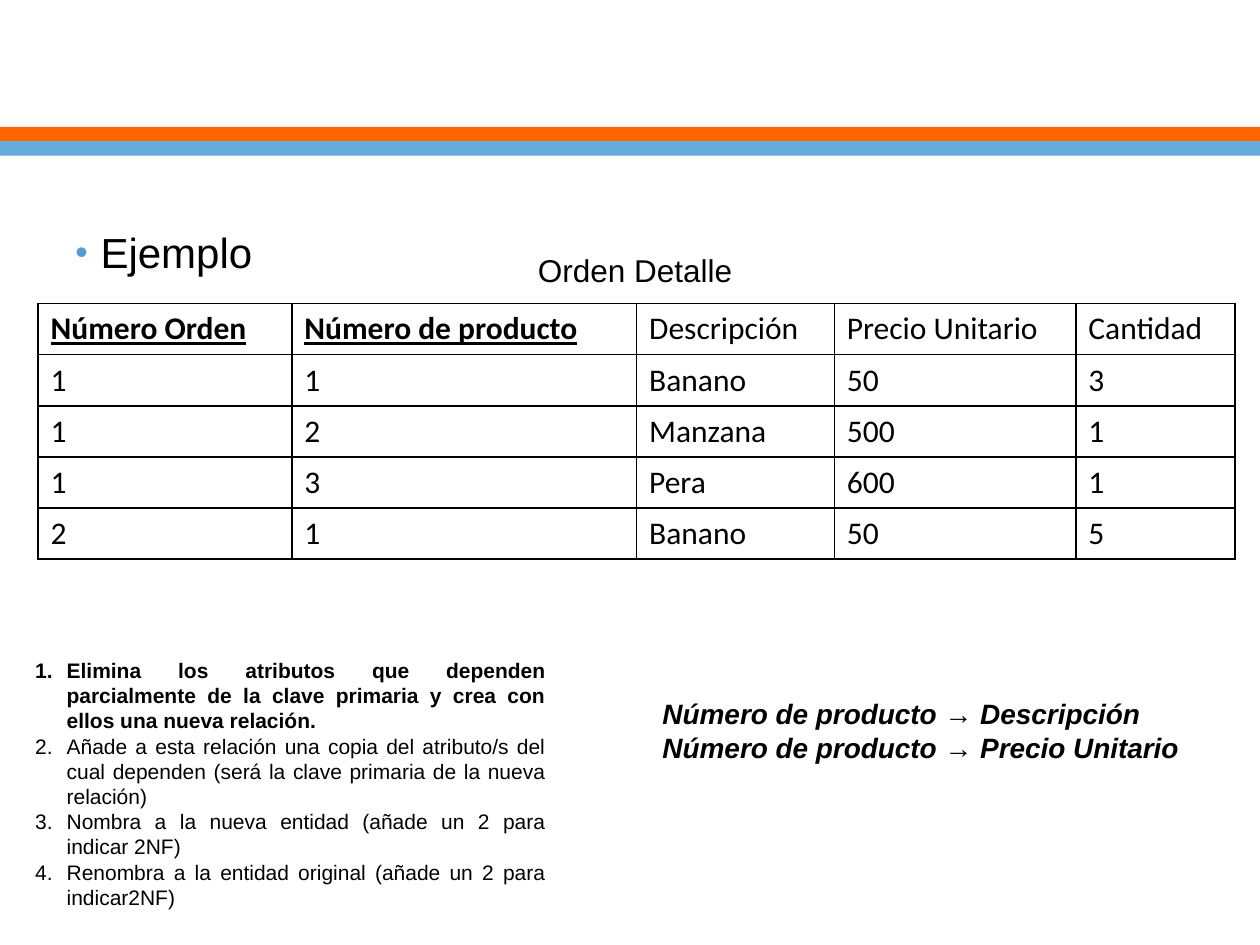
import lxml.etree
import pptx
import pptx.dml.color
import pptx.enum.shapes
import pptx.enum.text
import pptx.oxml.ns
import pptx.util

Pt = pptx.util.Pt
ALIGN = pptx.enum.text.PP_ALIGN
BLACK = "000000"

COLUMN_WIDTHS = [145, 197, 113, 138, 91]
ROW_HEIGHT = 29.2
KEY_COLUMNS = 2
ORDER_ROWS = [
    ["Número Orden", "Número de producto", "Descripción", "Precio Unitario", "Cantidad"],
    ["1", "1", "Banano", "50", "3"],
    ["1", "2", "Manzana", "500", "1"],
    ["1", "3", "Pera", "600", "1"],
    ["2", "1", "Banano", "50", "5"],
]
STEPS = [
    "Elimina los atributos que dependen parcialmente de la clave primaria y crea con ellos una nueva relación.",
    "Añade a esta relación una copia del atributo/s del cual dependen (será la clave primaria de la nueva relación)",
    "Nombra a la nueva entidad (añade un 2 para indicar 2NF)",
    "Renombra a la entidad original (añade un 2 para indicar2NF)",
]
DEPENDENCIES = [
    "Número de producto → Descripción",
    "Número de producto → Precio Unitario",
]


def color(value):
    return pptx.dml.color.RGBColor.from_string(value)


def add_child(parent, tag, **attributes):
    child = lxml.etree.SubElement(parent, pptx.oxml.ns.qn(tag))
    for name, value in attributes.items():
        child.set(name, str(value))
    return child


def style_font(font, name, size, bold=False):
    font.name = name
    font.size = Pt(size)
    font.bold = bold
    font.color.rgb = color(BLACK)


def add_text(slide, box, lines, size, align=ALIGN.LEFT, bold=False):
    """Add one paragraph per line and return the paragraphs."""
    shape = slide.shapes.add_textbox(*map(Pt, box))
    frame = shape.text_frame
    frame.word_wrap = True
    frame.text = "\n".join(lines)
    for paragraph in frame.paragraphs:
        paragraph.alignment = align
        style_font(paragraph.font, "Arial", size, bold)
    return frame.paragraphs


def set_bullet(paragraph, indent, bullet_color, percent, tag, **attributes):
    properties = paragraph._p.get_or_add_pPr()
    properties.set("marL", str(Pt(indent)))
    properties.set("indent", str(-Pt(indent)))
    add_child(add_child(properties, "a:buClr"), "a:srgbClr", val=bullet_color)
    add_child(properties, "a:buSzPct", val=percent * 1000)
    add_child(properties, "a:buFont", typeface="Arial")
    add_child(properties, tag, **attributes)


def add_header_bands(slide, left, top, width, height):
    band_height = height / 2
    for index, fill in enumerate(["FF6600", "65ACDD"]):
        band = slide.shapes.add_shape(
            pptx.enum.shapes.MSO_SHAPE.RECTANGLE,
            Pt(left), Pt(top + index * band_height), Pt(width), Pt(band_height))
        band.shadow.inherit = False
        band.fill.solid()
        band.fill.fore_color.rgb = color(fill)
        band.line.fill.background()


def add_heading(slide, box):
    paragraph = add_text(slide, box, ["Ejemplo"], 24, ALIGN.JUSTIFY)[0]
    set_bullet(paragraph, 14.4, "5B9BD5", 85, "a:buChar", char="•")


def set_borders(cell):
    properties = cell._tc.get_or_add_tcPr()
    for side in ["a:lnL", "a:lnR", "a:lnT", "a:lnB"]:
        line = add_child(properties, side, w=Pt(1))
        add_child(add_child(line, "a:solidFill"), "a:srgbClr", val=BLACK)


def add_order_table(slide, left, top):
    table = slide.shapes.add_table(
        len(ORDER_ROWS), len(COLUMN_WIDTHS), Pt(left), Pt(top),
        Pt(sum(COLUMN_WIDTHS)), Pt(ROW_HEIGHT * len(ORDER_ROWS))).table
    table.first_row = False
    table.horz_banding = False
    for column, width in zip(table.columns, COLUMN_WIDTHS):
        column.width = Pt(width)
    for row_index, values in enumerate(ORDER_ROWS):
        table.rows[row_index].height = Pt(ROW_HEIGHT)
        for column_index, value in enumerate(values):
            cell = table.cell(row_index, column_index)
            cell.text = value
            set_borders(cell)
            cell.fill.background()
            is_key = row_index == 0 and column_index < KEY_COLUMNS
            font = cell.text_frame.paragraphs[0].font
            style_font(font, "Calibri", 18, is_key)
            font.underline = is_key


def add_steps(slide, box):
    paragraphs = add_text(slide, box, STEPS, 12, ALIGN.JUSTIFY)
    paragraphs[0].font.bold = True
    for paragraph in paragraphs:
        set_bullet(paragraph, 18, BLACK, 100, "a:buAutoNum", type="arabicPeriod")


def add_dependencies(slide, box):
    for paragraph in add_text(slide, box, DEPENDENCIES, 16, bold=True):
        paragraph.font.italic = True


def main():
    presentation = pptx.Presentation()
    presentation.slide_width = Pt(720)
    presentation.slide_height = Pt(540)
    slide = presentation.slides.add_slide(presentation.slide_layouts[6])
    add_header_bands(slide, 0, 72.5, 720, 16.4)
    add_heading(slide, (36, 126, 648, 384))
    add_order_table(slide, 21.8, 173.5)
    add_text(slide, (269.3, 139.7, 187.2, 28.8), ["Orden Detalle"], 18, ALIGN.CENTER)
    add_steps(slide, (13, 372.2, 306, 152.6))
    add_dependencies(slide, (371.5, 394.6, 311.8, 46))
    presentation.save("out.pptx")


if __name__ == "__main__":
    main()
